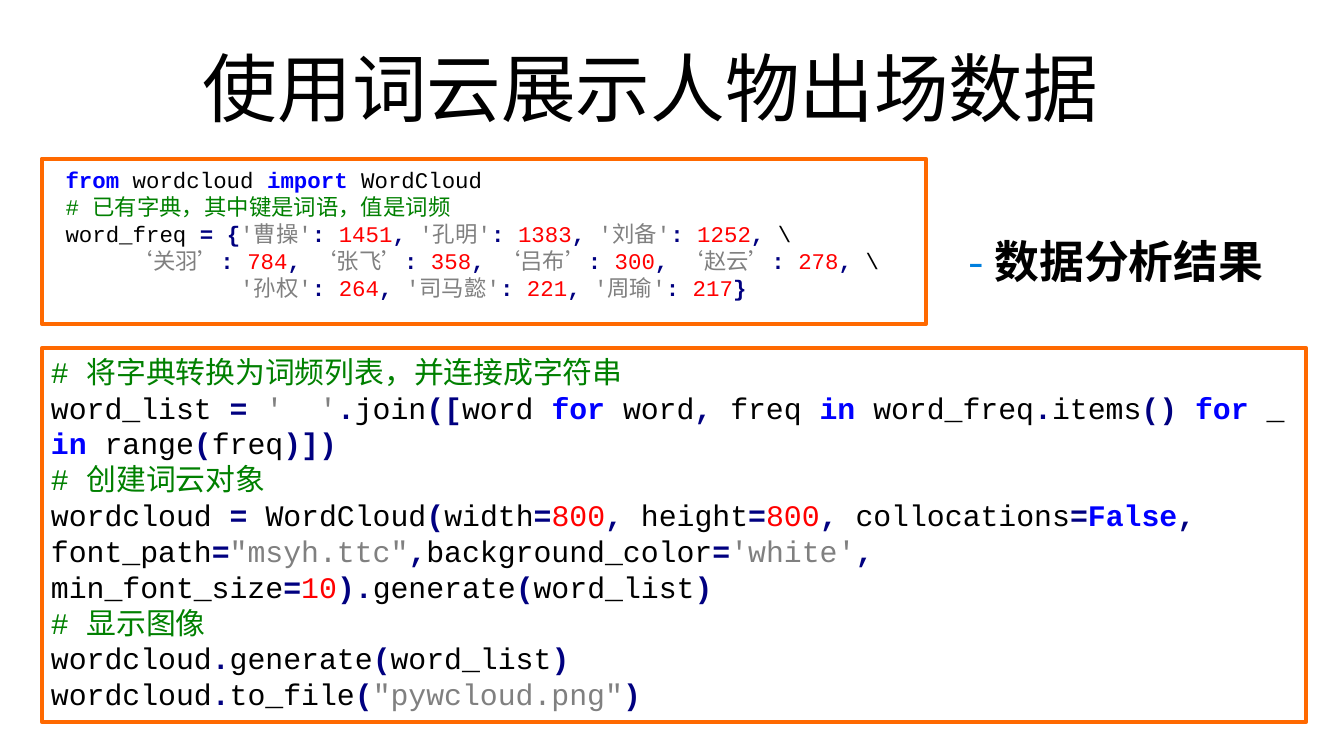
from lxml import etree
from pptx import Presentation
from pptx.dml.color import RGBColor
from pptx.enum.shapes import MSO_SHAPE
from pptx.enum.text import MSO_ANCHOR, PP_ALIGN
from pptx.oxml.ns import qn
from pptx.util import Pt

RECT = MSO_SHAPE.RECTANGLE
MIDDLE = MSO_ANCHOR.MIDDLE
CENTER = PP_ALIGN.CENTER

SANS, MONO = "Noto Sans CJK SC", "Courier New"
BLACK, ORANGE, BLUE = "000000", "FF6900", "007FDE"

# Syntax colours of the code listings
KEYWORD, OPERATOR = "0000FF", "000080"
STRING, NUMBER, COMMENT = "808080", "FF0000", "008000"
KEYWORDS = {"from", "import", "for", "in", "False"}
QUOTES = {"'": "'", '"': '"', "‘": "’"}

# Each line of code with its left indent in points
DICT_CODE = [
    ("from wordcloud import WordCloud", 0),
    ("# 已有字典，其中键是词语，值是词频", 0),
    (r"word_freq = {'曹操': 1451, '孔明': 1383, '刘备': 1252, \ ".rstrip(), 0),
    (r"‘关羽’: 784, ‘张飞’: 358, ‘吕布’: 300, ‘赵云’: 278, \ ".rstrip(), 35),
    ("'孙权': 264, '司马懿': 221, '周瑜': 217}", 93.6),
]
CLOUD_CODE = [
    ("# 将字典转换为词频列表，并连接成字符串", 0),
    ("word_list = '  '.join([word for word, freq in word_freq.items() "
     "for _ in range(freq)])", 0),
    ("# 创建词云对象", 0),
    ("wordcloud = WordCloud(width=800, height=800, collocations=False, "
     "font_path=\"msyh.ttc\",background_color='white', "
     "min_font_size=10).generate(word_list)", 0),
    ("# 显示图像", 0),
    ("wordcloud.generate(word_list)", 0),
    ('wordcloud.to_file("pywcloud.png")', 0),
]


def rgb(color):
    return RGBColor.from_string(color)


def split_code(line):
    """Return [text, colour] pairs; a space joins the token before it."""
    if line.startswith("#"):
        return [[line, COMMENT]]
    parts, i = [], 0
    while i < len(line):
        ch, end = line[i], i + 1
        if ch in QUOTES:
            end = line.index(QUOTES[ch], end) + 1
            color = STRING
        elif ch.isalnum() or ch == "_":
            while end < len(line) and (line[end].isalnum() or line[end] == "_"):
                end += 1
            word = line[i:end]
            color = (NUMBER if word.isdigit()
                     else KEYWORD if word in KEYWORDS else BLACK)
        elif ch == " ":
            color = parts[-1][1]
        else:
            color = BLACK if ch == "\\" else OPERATOR
        if parts and parts[-1][1] == color:
            parts[-1][0] += line[i:end]
        else:
            parts.append([line[i:end], color])
        i = end
    return parts


def set_font(p, name, size):
    p.font.name, p.font.size = name, Pt(size)
    props = p._p.pPr.find(qn("a:defRPr"))
    etree.SubElement(props, qn("a:ea")).set("typeface", SANS)


def add_run(p, text, color, bold=False):
    r = p.add_run()
    r.text = text
    r.font.bold = bold
    r.font.color.rgb = rgb(color)


def add_text_box(s, x, y, w, h):
    tf = s.shapes.add_textbox(Pt(x), Pt(y), Pt(w), Pt(h)).text_frame
    tf.word_wrap = True
    return tf


def add_code(s, x, y, w, h, lines, size):
    tf = add_text_box(s, x, y, w, h)
    for i, (line, indent) in enumerate(lines):
        p = tf.add_paragraph() if i else tf.paragraphs[0]
        set_font(p, MONO, size)
        if indent:
            p._p.pPr.set("marL", str(Pt(indent)))
        for text, color in split_code(line):
            add_run(p, text, color, color in (KEYWORD, OPERATOR))


def add_frame(s, x, y, w, h):
    sp = s.shapes.add_shape(RECT, Pt(x), Pt(y), Pt(w), Pt(h))
    sp.shadow.inherit = False
    sp.fill.background()
    sp.line.color.rgb = rgb(ORANGE)
    sp.line.width = Pt(2)


def add_title(s, text):
    tf = add_text_box(s, -11.5, 20.9, 720, 62.6)
    tf.margin_left = tf.margin_right = tf.margin_top = tf.margin_bottom = 0
    tf.vertical_anchor = MIDDLE
    p = tf.paragraphs[0]
    p.alignment = CENTER
    p.line_spacing = 0.7
    set_font(p, SANS, 40)
    add_run(p, text, BLACK)


def add_label(s, text):
    p = add_text_box(s, 512, 92.9, 187.2, 65.5).paragraphs[0]
    p.line_spacing = 2.0
    set_font(p, SANS, 24)
    add_run(p, "- ", BLUE)
    add_run(p, text, BLACK, True)


def main():
    prs = Presentation()
    prs.slide_width, prs.slide_height = Pt(720), Pt(405)
    s = prs.slides.add_slide(prs.slide_layouts[6])

    # Heading and code listings
    add_code(s, 28, 85.7, 680.4, 79.9, DICT_CODE, 12)
    add_title(s, "使用词云展示人物出场数据")
    add_code(s, 20.2, 185.8, 680.4, 200.9, CLOUD_CODE, 16)

    # Frames and side label
    add_frame(s, 22.3, 85, 473.8, 88.6)
    add_label(s, "数据分析结果")
    add_frame(s, 22.3, 186.5, 677.5, 200.2)

    prs.save("out.pptx")


if __name__ == "__main__":
    main()
